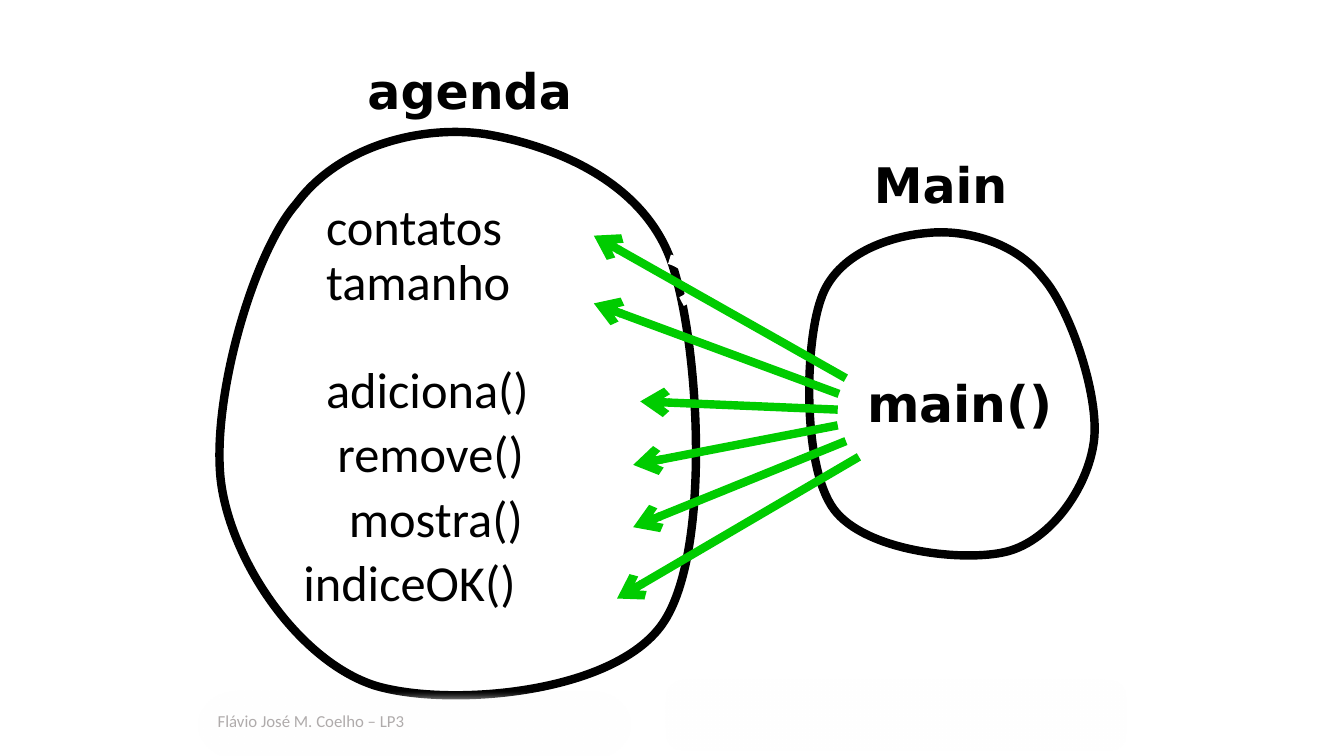
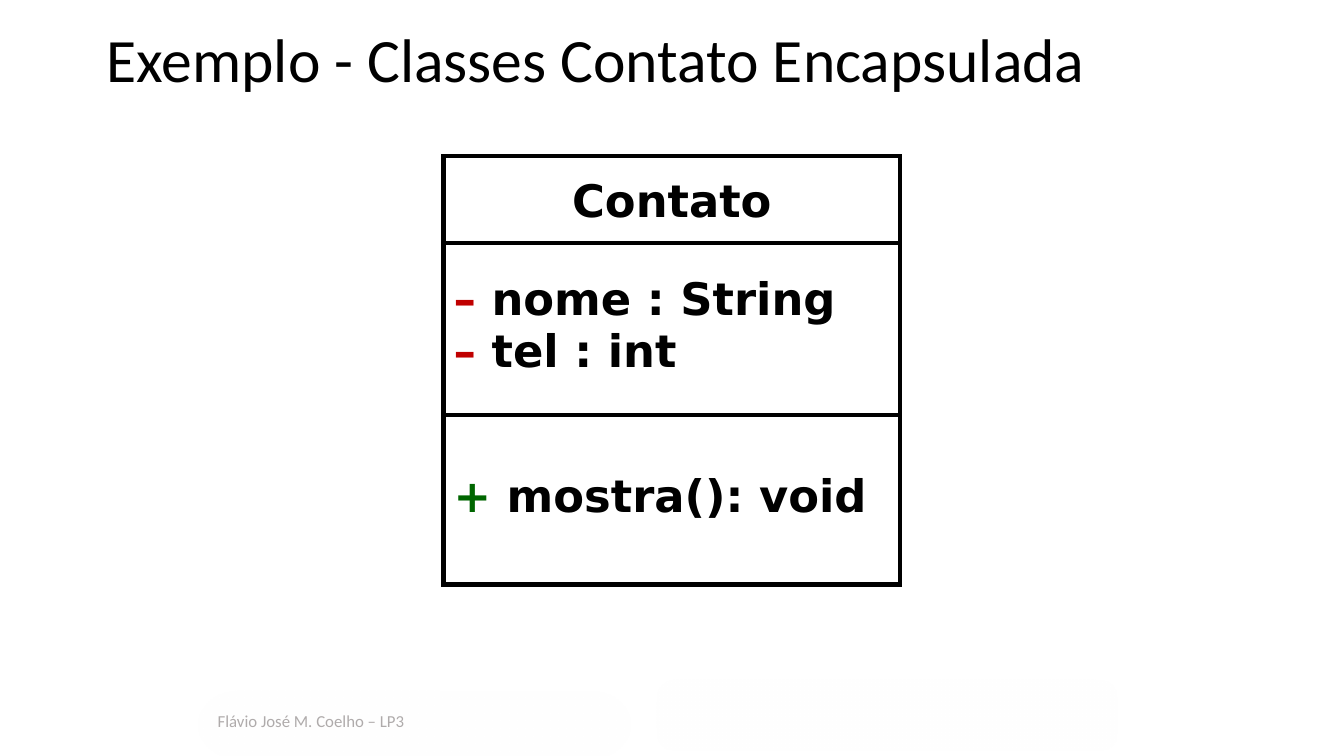
from lxml.etree import SubElement
from pptx import Presentation
from pptx.dml.color import RGBColor
from pptx.enum.shapes import MSO_CONNECTOR, MSO_SHAPE
from pptx.enum.text import MSO_ANCHOR, PP_ALIGN
from pptx.oxml.ns import qn
from pptx.util import Inches, Pt

W, H = 13.33, 7.5
COLORS = {"ink": "000000", "paper": "FFFFFF", "arrow": "00CC00",
          "private": "C00000", "public": "006600", "footer": "AFABAB"}
BODY, STRONG = "Calibri", "DejaVu Sans"
SPACE = 0.113

AGENDA = (2, 1, 5, 6)
MAIN = (8, 2, 3, 4)
AGENDA_OUTLINE = [
    (18.8, 17), (27.4, 7.3), (43.8, 4), (56.2, 5.5),
    (68.6, 7.2), (87, 12.7), (93, 26.2),
    (98.8, 39.7), (101.2, 74.8), (91.4, 86.5),
    (81.6, 98.2), (48.8, 100.3), (34.4, 96.7),
    (19.8, 92.8), (6.6, 77.2), (4, 64),
    (1.4, 50.7), (10, 25.3), (18.8, 17)]
MAIN_OUTLINE = [
    (78, 18.8), (69, 10), (52.3, 6.8), (40, 7.8),
    (28, 8.5), (9.7, 12.8), (4.7, 24.3),
    (-0.7, 35.8), (-1.3, 65.8), (9, 76.3),
    (19.3, 86.8), (52.3, 89.5), (66.3, 86.8),
    (80.7, 84), (93, 71), (95, 59.5),
    (97, 48.3), (87, 26.3), (78, 18.8)]
GAP_OUTLINE = [(92.8, 26.2), (95.8, 26.8), (101.4, 30.7), (95.2, 33.2)]
MEMBERS = [("contatos", 2, 0), ("tamanho", 2, 0), ("adiciona()", 2, 38.4),
           ("remove()", 3, 7.2), ("mostra()", 4, 7.2), ("indiceOK()", 0, 7.2)]
ARROW_STARTS = [13, 10.7, 10.3, 10.3, 13, 17.3]
ARROW_ENDS = [(77.8, 22.3), (77.8, 33.5), (87, 49.7),
              (85.6, 60.2), (85.6, 70.5), (82.4, 82.3)]
CLASS_ROWS = [
    (0.86, [[("Contato", "ink")]], PP_ALIGN.CENTER, 1),
    (1.7, [[("– ", "private"), ("nome : String", "ink")],
           [("– ", "private"), ("tel : int", "ink")]], PP_ALIGN.LEFT, 0.8),
    (1.68, [[("+", "public"), (" mostra(): void", "ink")]], PP_ALIGN.LEFT, 0.8)]


def rgb(name):
    return RGBColor.from_string(COLORS[name])


def inches(values):
    return [Inches(v) for v in values]


def point_in(box, x, y):
    left, top, width, height = box
    return left + width * x / 100, top + height * y / 100


def box_in(box, x, y, width, height):
    return (*point_in(box, x, y), box[2] * width / 100, box[3] * height / 100)


def write(tf, text, size=36, font=BODY, bold=False, color="ink",
          align=PP_ALIGN.LEFT, spacing=1, before=0, indent=0, first=True):
    p = tf.paragraphs[0] if first else tf.add_paragraph()
    p.alignment, p.line_spacing, p.space_before = align, spacing, Pt(before)
    if indent:
        p._p.get_or_add_pPr().set("marL", str(Inches(indent)))
    for part, name in [(text, color)] if isinstance(text, str) else text:
        r = p.add_run()
        r.text = part
        r.font.size, r.font.name, r.font.bold = Pt(size), font, bold
        r.font.color.rgb = rgb(name)


def text_box(s, box, anchor=MSO_ANCHOR.TOP):
    tf = s.shapes.add_textbox(*inches(box)).text_frame
    tf.word_wrap, tf.vertical_anchor = True, anchor
    return tf


def style(sp, fill="paper", line=None, width=0):
    sp.shadow.inherit = False
    if fill:
        sp.fill.solid()
        sp.fill.fore_color.rgb = rgb(fill)
    else:
        sp.fill.background()
    if line:
        sp.line.color.rgb, sp.line.width = rgb(line), Pt(width)
        SubElement(sp.line._get_or_add_ln(), qn("a:miter"), lim="800000")
    else:
        sp.line.fill.background()


def add_curve(s, box, nodes, close=True, **look):
    points = [inches(point_in(box, x, y)) for x, y in nodes]
    builder = s.shapes.build_freeform(*points[0])
    builder.add_line_segments(points[1:], close=close)
    sp = builder.convert_to_shape()
    segments = list(sp._element.iter(qn("a:lnTo")))
    for k in range(0, len(nodes) - 1, 3):
        curve = segments[k].getparent().makeelement(qn("a:cubicBezTo"))
        segments[k].addprevious(curve)
        for segment in segments[k:k + 3]:
            curve.append(segment[0])
            segment.getparent().remove(segment)
    style(sp, **look)


def add_arrow(s, start, end):
    c = s.shapes.add_connector(MSO_CONNECTOR.STRAIGHT, *inches(start + end))
    c.line.color.rgb, c.line.width = rgb("arrow"), Pt(6)
    SubElement(c.line._get_or_add_ln(), qn("a:tailEnd"), type="arrow")
    SubElement(c._element.spPr, qn("a:effectLst"))


def add_soft_panel(s, box):
    sp = s.shapes.add_shape(MSO_SHAPE.ROUNDED_RECTANGLE, *inches(box))
    style(sp)
    effects = sp._element.spPr.find(qn("a:effectLst"))
    SubElement(effects, qn("a:softEdge"), rad=str(Inches(0.1)))
    return sp


def add_footer(s, panel_left):
    add_soft_panel(s, (panel_left, 6.74, 4.57, 0.71))
    sp = add_soft_panel(s, (1.94, 6.85, 4.33, 0.68))
    sp.adjustments[0] = 0.5
    tf = sp.text_frame
    tf.word_wrap, tf.vertical_anchor = True, MSO_ANCHOR.TOP
    tf.margin_left = tf.margin_right = Inches(0.12)
    tf.margin_top = tf.margin_bottom = Inches(0.06)
    write(tf, "Flávio José M. Coelho – LP3", size=12, color="footer", spacing=1.2)


def add_heading(s, box, text):
    write(text_box(s, box), text, size=35, font=STRONG, bold=True,
          align=PP_ALIGN.CENTER)


def agenda_region(s, box):
    add_heading(s, box_in(box, 27.2, -7.5, 52, 18.2), "agenda")
    add_curve(s, box, AGENDA_OUTLINE, line="ink", width=6)
    tf = text_box(s, box_in(box, 18.2, 13.7, 76.8, 74), MSO_ANCHOR.MIDDLE)
    for i, (name, spaces, before) in enumerate(MEMBERS):
        write(tf, name, spacing=0.9, before=before, indent=spaces * SPACE,
              first=i == 0)


def main_region(s, box):
    add_curve(s, box, MAIN_OUTLINE, line="ink", width=6)
    tf = text_box(s, box_in(box, 10.6, 43.8, 80.3, 14.8), MSO_ANCHOR.MIDDLE)
    write(tf, "main()", font=STRONG, bold=True, align=PP_ALIGN.CENTER, spacing=0.8)
    add_heading(s, box_in(box, -7.5, -13, 103.7, 27.3), "Main")


def access_arrows(s, source, target):
    for i, (x, end) in enumerate(zip(ARROW_STARTS, ARROW_ENDS)):
        add_arrow(s, point_in(source, x, 43.8 + 3.9 * i), point_in(target, *end))


def class_diagram(s, box):
    left, top, width, height = box
    unit = height / sum(row[0] for row in CLASS_ROWS)
    for weight, lines, align, spacing in CLASS_ROWS:
        row_height = weight * unit
        sp = s.shapes.add_shape(
            MSO_SHAPE.RECTANGLE, *inches((left, top, width, row_height)))
        style(sp, line="ink", width=3)
        tf = sp.text_frame
        tf.word_wrap, tf.vertical_anchor = True, MSO_ANCHOR.MIDDLE
        for i, line in enumerate(lines):
            write(tf, line, size=32, font=STRONG, bold=True, align=align,
                  spacing=spacing, before=6.4 if i else 0, first=i == 0)
        top += row_height


def new_slide(prs):
    return prs.slides.add_slide(prs.slide_layouts[6])


def main():
    prs = Presentation()
    prs.slide_width, prs.slide_height = inches((W, H))

    s = new_slide(prs)
    agenda_region(s, AGENDA)
    main_region(s, MAIN)
    add_curve(s, AGENDA, GAP_OUTLINE, close=False, fill=None, line="paper", width=7)
    access_arrows(s, MAIN, AGENDA)
    add_footer(s, 6.6)

    s = new_slide(prs)
    class_diagram(s, (4.4, 1.55, 4.53, 4.25))
    add_footer(s, 6.51)
    write(text_box(s, (0.96, 0.24, 11.5, 1.45)),
          "Exemplo - Classes Contato Encapsulada", size=44, spacing=0.9)

    prs.save("out.pptx")


if __name__ == "__main__":
    main()
